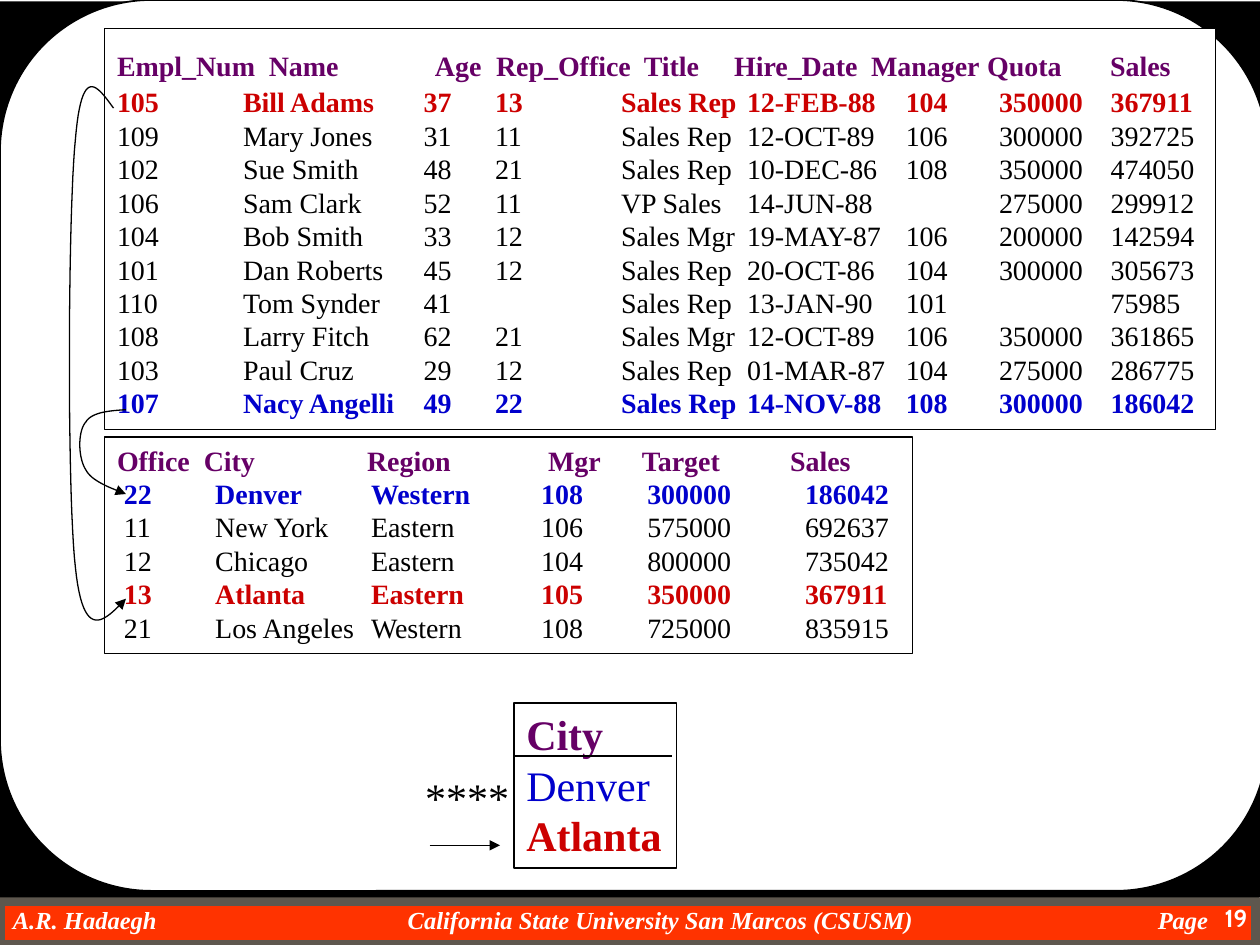
import dataclasses
from typing import Optional, Sequence

import pptx
import pptx.dml.color
import pptx.enum.shapes
import pptx.enum.text
import pptx.oxml.ns
import pptx.util
from lxml import etree

Cm, Pt = pptx.util.Cm, pptx.util.Pt
RGBColor = pptx.dml.color.RGBColor
SHAPE = pptx.enum.shapes.MSO_SHAPE
ALIGN = pptx.enum.text.PP_ALIGN
ANCHOR = pptx.enum.text.MSO_ANCHOR
qn = pptx.oxml.ns.qn

BLACK = RGBColor(0x00, 0x00, 0x00)
WHITE = RGBColor(0xFF, 0xFF, 0xFF)
ORANGE = RGBColor(0xFF, 0x33, 0x00)
GREY = RGBColor(0x5E, 0x57, 0x4E)
PURPLE = RGBColor(0x66, 0x00, 0x66)
RED = RGBColor(0xCC, 0x00, 0x00)
BLUE = RGBColor(0x00, 0x00, 0xCC)
SERIF = "Times New Roman"
LINE_HEIGHT = 1.196
THIN = 0.75


@dataclasses.dataclass
class Box:
    left: float
    top: float
    width: float
    height: float

    def emu(self) -> list:
        return [Cm(v) for v in dataclasses.astuple(self)]


@dataclasses.dataclass
class Listing:
    box: Box
    header: str
    header_tabs: Sequence[float]
    row_tabs: Sequence[float]
    rows: Sequence[str]
    marked: dict
    header_line: int = 16


prs = pptx.Presentation()
prs.slide_width, prs.slide_height = Cm(25.4), Cm(19.05)
s = prs.slides.add_slide(prs.slide_layouts[6])


def add_block(box: Box, fill: Optional[RGBColor] = None, line: Optional[RGBColor] = None,
              weight: float = THIN, kind=SHAPE.RECTANGLE):
    sp = s.shapes.add_shape(kind, *box.emu())
    sp.shadow.inherit = False
    if fill is None:
        sp.fill.background()
    else:
        sp.fill.solid()
        sp.fill.fore_color.rgb = fill
    if line is None:
        sp.line.fill.background()
    else:
        sp.line.color.rgb = line
        sp.line.width = Pt(weight)
    return sp


def frame(sp, wrap: bool = True, anchor=ANCHOR.TOP, inset: Optional[float] = None):
    tf = sp.text_frame
    tf.word_wrap = wrap
    tf.vertical_anchor = anchor
    if inset is not None:
        tf.margin_left = tf.margin_right = tf.margin_top = tf.margin_bottom = Cm(inset)
    return tf


def add_text(tf, text: str, size: float = 16, color: RGBColor = BLACK, bold: bool = False,
             italic: bool = False, font: str = SERIF, align=ALIGN.LEFT,
             tabs: Sequence[float] = (), line_size: Optional[float] = None):
    """Write text as the next paragraph of the frame."""
    p = tf.paragraphs[0] if not tf.text else tf.add_paragraph()
    p.alignment = align
    p.line_spacing = Pt(round((line_size or size) * LINE_HEIGHT, 1))
    if tabs:
        tab_list = etree.SubElement(p._p.get_or_add_pPr(), qn("a:tabLst"))
        for pos in tabs:
            etree.SubElement(tab_list, qn("a:tab"), pos=str(int(Cm(pos))), algn="l")
    r = p.add_run()
    r.text = text
    r.font.name, r.font.size = font, Pt(size)
    r.font.bold, r.font.italic = bold, italic
    r.font.color.rgb = color
    return p


def add_listing(listing: Listing) -> None:
    tf = frame(add_block(listing.box, WHITE, BLACK))
    p = add_text(tf, listing.header, color=PURPLE, bold=True, tabs=listing.header_tabs,
                 line_size=listing.header_line)
    if listing.header_line != 16:
        r = p.add_run()
        r.text = " "
        r.font.name, r.font.size = SERIF, Pt(listing.header_line)
    for row in listing.rows:
        color = listing.marked.get(row.split("\t")[0].strip())
        add_text(tf, row, color=color or BLACK, bold=color is not None, tabs=listing.row_tabs)


def style_line(sp, arrow: bool) -> None:
    sp.line.color.rgb = BLACK
    sp.line.width = Pt(THIN)
    if arrow:
        etree.SubElement(sp.line._get_or_add_ln(), qn("a:tailEnd"), type="triangle")


def add_line(x1: float, y1: float, x2: float, y2: float, arrow: bool = False) -> None:
    sp = s.shapes.add_connector(pptx.enum.shapes.MSO_CONNECTOR.STRAIGHT,
                                Cm(x1), Cm(y1), Cm(x2), Cm(y2))
    style_line(sp, arrow)
    etree.SubElement(sp._element.spPr, qn("a:effectLst"))


def add_curve(points: Sequence[tuple], steps: int = 24) -> None:
    """Draw an arrow along joined cubic curves: start, then three points for each."""
    path = []
    for k in range(0, len(points) - 1, 3):
        a, b, c, d = points[k:k + 4]
        for i in range(1, steps + 1):
            t = i / steps
            u = 1 - t
            path.append(tuple(Cm(u**3 * a[j] + 3 * u * u * t * b[j] + 3 * u * t * t * c[j]
                                 + t**3 * d[j]) for j in (0, 1)))
    builder = s.shapes.build_freeform(Cm(points[0][0]), Cm(points[0][1]))
    builder.add_line_segments(path, close=False)
    sp = builder.convert_to_shape()
    sp.shadow.inherit = False
    sp.fill.background()
    style_line(sp, True)


# Footer bar and background frame
add_block(Box(0, 18.16, 25.32, 0.89), ORANGE, GREY, 6)
footer = s.shapes.add_textbox(*Box(0.26, 18.24, 24.6, 0.58).emu())
add_text(frame(footer, inset=0),
         "A.R. Hadaegh\tCalifornia State University San Marcos (CSUSM)\tPage",
         size=14, color=WHITE, bold=True, italic=True, tabs=(7.96, 23.08))
add_block(Box(0, 0.03, 25.4, 18.06), BLACK)
panel = add_block(Box(0, 0, 25.55, 17.96), WHITE, BLACK, 1, SHAPE.ROUNDED_RECTANGLE)
panel.adjustments[0] = 0.17
number = s.shapes.add_textbox(*Box(23.5, 18.08, 1.9, 0.97).emu())
add_text(frame(number), "19", size=14, color=WHITE, bold=True, font="Cabin", align=ALIGN.RIGHT)

# Employee and office listings
add_listing(Listing(
    Box(2.11, 0.58, 22.4, 8.08),
    "Empl_Num\tName\tAge\tRep_Office\tTitle\tHire_Date\tManager\tQuota\tSales",
    (3.06, 6.41, 7.64, 10.62, 12.44, 15.2, 17.54, 20.02),
    (2.54, 6.18, 7.62, 10.16, 12.7, 15.9, 17.78, 20.03),
    ("105\tBill Adams\t37\t13\tSales Rep\t12-FEB-88\t104\t350000\t367911",
     "109\tMary Jones\t31\t11\tSales Rep\t12-OCT-89\t106\t300000\t392725",
     "102\tSue Smith\t48\t21\tSales Rep\t10-DEC-86\t108\t350000\t474050",
     "106\tSam Clark\t52\t11\tVP Sales\t14-JUN-88\t\t275000\t299912",
     "104\tBob Smith\t33\t12\tSales Mgr\t19-MAY-87\t106\t200000\t142594",
     "101\tDan Roberts\t45\t12\tSales Rep\t20-OCT-86\t104\t300000\t305673",
     "110\tTom Synder\t41\t\tSales Rep\t13-JAN-90\t101\t\t75985",
     "108\tLarry Fitch\t62\t21\tSales Mgr\t12-OCT-89\t106\t350000\t361865",
     "103\tPaul Cruz\t29\t12\tSales Rep\t01-MAR-87\t104\t275000\t286775",
     "107\tNacy Angelli\t49\t22\tSales Rep\t14-NOV-88\t108\t300000\t186042"),
    {"105": RED, "107": BLUE}, header_line=24))
add_listing(Listing(
    Box(2.11, 8.81, 16.28, 4.37),
    "Office\tCity\tRegion\tMgr\tTarget\tSales",
    (1.75, 5.04, 8.69, 10.58, 13.57),
    (1.98, 5.12, 8.55, 10.69, 13.87),
    (" 22\tDenver\tWestern\t108\t300000\t186042",
     " 11\tNew York\tEastern\t106\t575000\t692637",
     " 12\tChicago\tEastern\t104\t800000\t735042",
     " 13\tAtlanta\tEastern\t105\t350000\t367911",
     " 21\tLos Angeles\tWestern\t108\t725000\t835915"),
    {"22": BLUE, "13": RED}))

# Query result
add_line(8.66, 17.04, 10.08, 17.04, arrow=True)
stars = s.shapes.add_textbox(*Box(8.31, 15.42, 2.21, 1.27).emu())
add_text(frame(stars, False, ANCHOR.MIDDLE), "****", size=24, align=ALIGN.CENTER)
result = frame(add_block(Box(10.36, 14.17, 3.28, 3.33), line=BLACK), wrap=False)
for city, color, bold in (("City", PURPLE, True), ("Denver", BLUE, False), ("Atlanta", RED, True)):
    add_text(result, city, size=24, color=color, bold=bold)
add_line(10.36, 15.24, 13.54, 15.24)

# Arrows from employees to their offices
add_curve([(2.54, 8.26), (2.21, 8.28), (1.85, 8.31), (1.73, 8.51), (1.57, 8.69),
           (1.57, 9.22), (1.73, 9.47), (1.85, 9.7), (2.21, 9.83), (2.54, 9.96)])
add_curve([(2.29, 2.18), (1.96, 1.73), (1.65, 1.27), (1.52, 2.82), (1.37, 4.34),
           (1.35, 9.91), (1.52, 11.43), (1.68, 12.98), (2.11, 12.52), (2.54, 12.07)])

prs.save("out.pptx")
